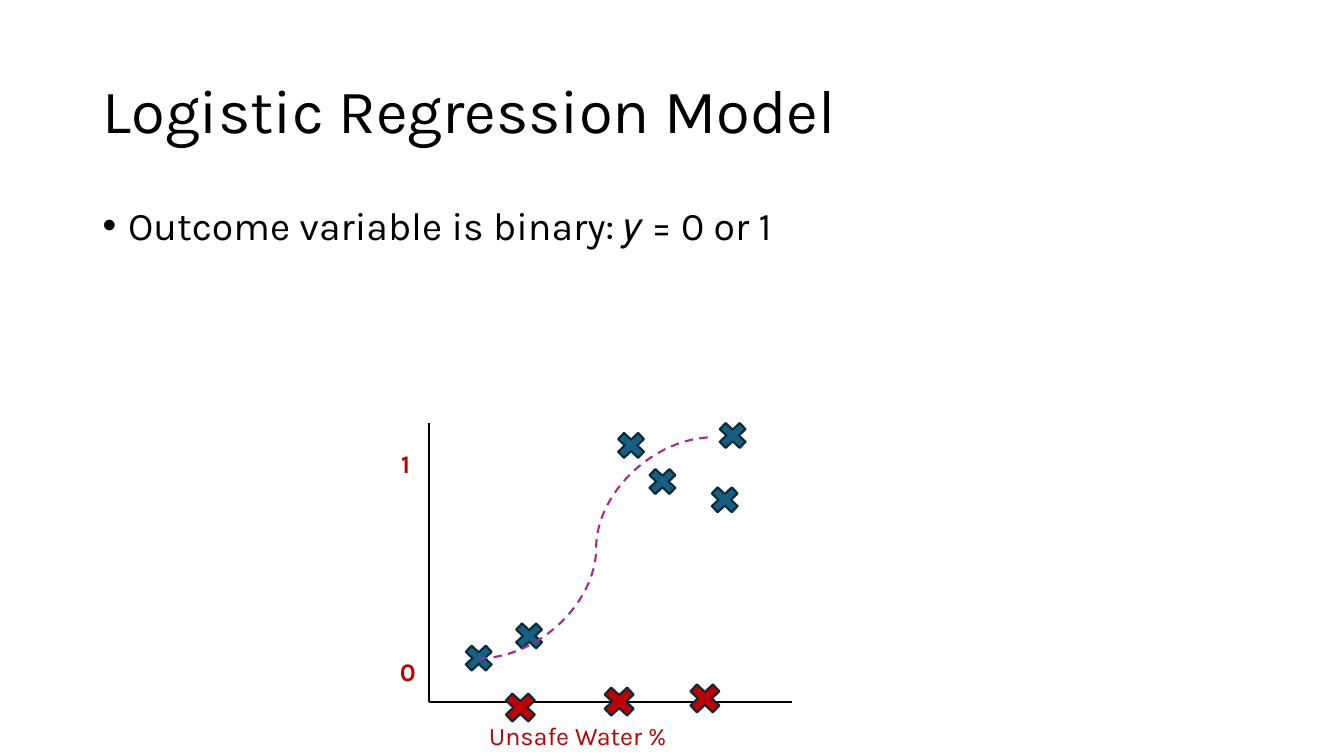
"""Build the logistic regression slide with its sketched scatter plot."""
from dataclasses import dataclass

from lxml import etree
from pptx import Presentation
from pptx.dml.color import RGBColor
from pptx.enum.dml import MSO_LINE
from pptx.enum.shapes import MSO_CONNECTOR, MSO_SHAPE
from pptx.enum.text import MSO_ANCHOR
from pptx.oxml.ns import qn
from pptx.util import Cm, Pt

BLACK = RGBColor(0x00, 0x00, 0x00)
RED = RGBColor(0xC0, 0x00, 0x00)
BLUE = RGBColor(0x15, 0x60, 0x82)
NAVY = RGBColor(0x09, 0x2A, 0x39)
PURPLE = RGBColor(0xA0, 0x2B, 0x93)

STRAIGHT = MSO_CONNECTOR.STRAIGHT
CURVE = MSO_CONNECTOR.CURVE
CROSS = MSO_SHAPE.MATH_MULTIPLY
DASH = MSO_LINE.DASH
TOP = MSO_ANCHOR.TOP
MIDDLE = MSO_ANCHOR.MIDDLE

FONT = "Karla"
LINE_WIDTH = Pt(1.5)
AXIS_X, AXIS_TOP = 10.82, 10.67
AXIS_RIGHT, AXIS_Y = 19.96, 17.68


@dataclass(frozen=True)
class Label:
    """Text with its box in centimetres."""
    text: str
    box: tuple[float, float, float, float]
    size: int
    color: RGBColor = BLACK
    bold: bool = False
    anchor: MSO_ANCHOR = TOP
    line_spacing: float = 1.0
    bullet: bool = False


@dataclass(frozen=True)
class Line:
    """Connector with its ends in centimetres."""
    start: tuple[float, float]
    end: tuple[float, float]
    color: RGBColor = BLACK
    kind: MSO_CONNECTOR = STRAIGHT
    dash: MSO_LINE | None = None


@dataclass(frozen=True)
class Markers:
    """Crosses of one colour and size, placed by their top left corners."""
    color: RGBColor
    size: tuple[float, float]
    points: tuple[tuple[float, float], ...]


HEADINGS = (
    Label("Logistic Regression Model", (2.34, 1.02, 29.21, 3.68), 44,
          anchor=MIDDLE, line_spacing=0.9),
    Label("Outcome variable is binary: 𝑦 = 0 or 1", (2.34, 5.08, 29.21, 12.09), 28,
          line_spacing=0.9, bullet=True),
)
AXES = (
    Line((AXIS_X, AXIS_TOP), (AXIS_X, AXIS_Y)),
    Line((AXIS_RIGHT, AXIS_Y), (AXIS_X, AXIS_Y)),
)
AXIS_LABELS = (
    Label("Unsafe Water %", (12.07, 18.03, 5.11, 1.02), 18, RED),
    Label("0", (9.83, 16.41, 1.14, 1.02), 18, RED, bold=True),
    Label("1", (9.86, 11.18, 1.14, 1.02), 18, RED, bold=True),
)
OBSERVED = Markers(BLUE, (0.97, 0.91), (
    (11.58, 16.13), (12.85, 15.57), (15.42, 10.77),
    (16.21, 11.68), (17.78, 12.14), (17.98, 10.52),
))
SIGMOID = Line((12.07, 16.59), (17.98, 11.02), PURPLE, CURVE, DASH)
ZEROS = Markers(RED, (1.09, 1.02), ((17.22, 17.09), (15.06, 17.17), (12.57, 17.32)))


def apply(target: object, values: dict[str, object]) -> None:
    """Set each named attribute on the target."""
    for name, value in values.items():
        setattr(target, name, value)


def add_bullet(p) -> None:
    """Give a paragraph a hanging round bullet."""
    pPr = p._p.get_or_add_pPr()
    pPr.set("marL", str(Cm(0.64)))
    pPr.set("indent", str(Cm(-0.64)))
    etree.SubElement(pPr, qn("a:buFont")).set("typeface", "Arial")
    etree.SubElement(pPr, qn("a:buChar")).set("char", "•")


def add_label(s, label: Label) -> None:
    """Draw one text box."""
    tf = s.shapes.add_textbox(*map(Cm, label.box)).text_frame
    apply(tf, {"word_wrap": True, "vertical_anchor": label.anchor})
    p = tf.paragraphs[0]
    p.line_spacing = label.line_spacing
    if label.bullet:
        p.space_before = Pt(10)
        add_bullet(p)
    r = p.add_run()
    r.text = label.text
    apply(r.font, {"name": FONT, "size": Pt(label.size), "bold": label.bold})
    r.font.color.rgb = label.color


def add_line(s, line: Line) -> None:
    """Draw one connector."""
    sp = s.shapes.add_connector(line.kind, *map(Cm, line.start + line.end))
    sp.line.color.rgb = line.color
    apply(sp.line, {"width": LINE_WIDTH, "dash_style": line.dash})
    etree.SubElement(sp._element.spPr, qn("a:effectLst"))


def add_markers(s, markers: Markers) -> None:
    """Draw every cross of a set."""
    for point in markers.points:
        sp = s.shapes.add_shape(CROSS, *map(Cm, point + markers.size))
        sp.shadow.inherit = False
        sp.fill.solid()
        sp.fill.fore_color.rgb = markers.color
        sp.line.color.rgb = NAVY
        sp.line.width = LINE_WIDTH


def main() -> None:
    """Build and save the slide."""
    prs = Presentation()
    apply(prs, {"slide_width": Cm(33.87), "slide_height": Cm(19.05)})
    s = prs.slides.add_slide(prs.slide_layouts[6])
    for heading in HEADINGS:
        add_label(s, heading)
    for axis in AXES:
        add_line(s, axis)
    add_markers(s, OBSERVED)
    add_line(s, SIGMOID)
    for label in AXIS_LABELS:
        add_label(s, label)
    add_markers(s, ZEROS)
    prs.save("out.pptx")


if __name__ == "__main__":
    main()
